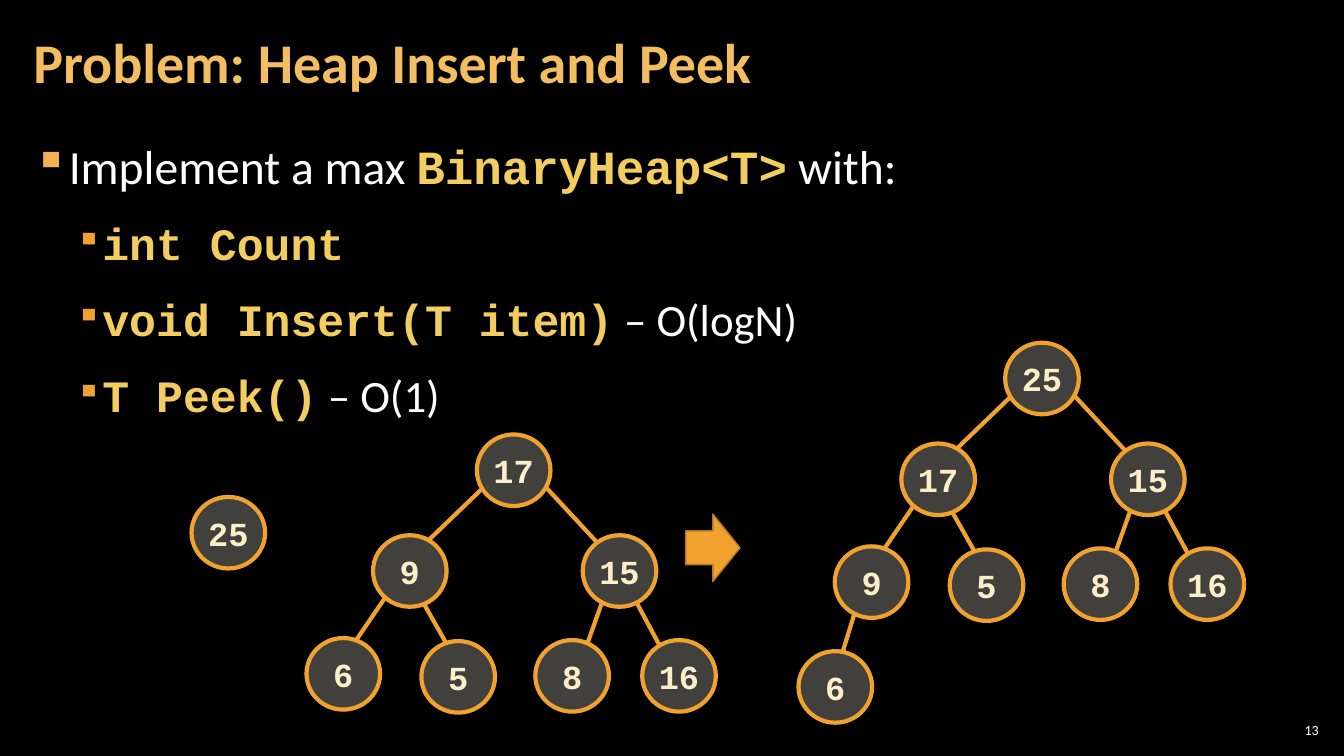
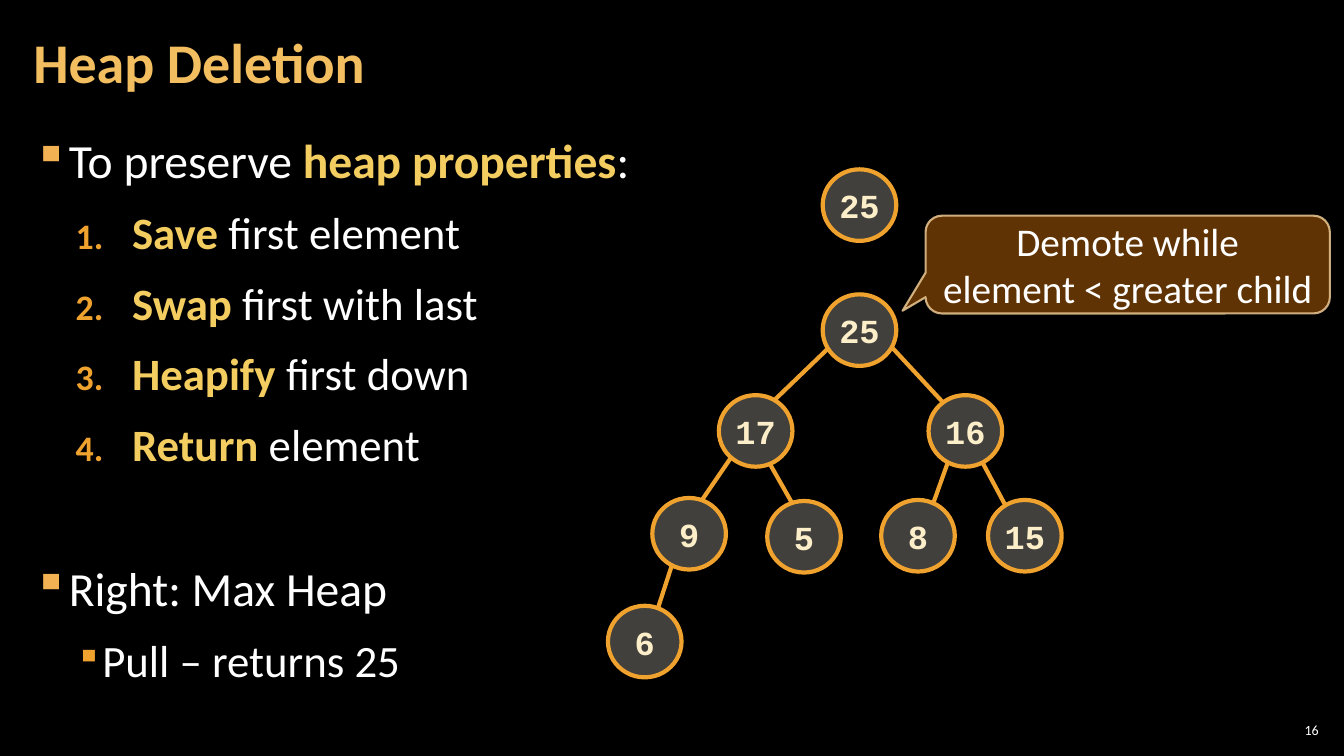
from dataclasses import dataclass
from typing import NamedTuple

from lxml import etree
from pptx import Presentation
from pptx.dml.color import RGBColor
from pptx.enum.shapes import MSO_CONNECTOR as Connector, MSO_SHAPE as Preset
from pptx.enum.text import MSO_ANCHOR as Anchor, PP_ALIGN as Align
from pptx.oxml.ns import qn
from pptx.util import Inches, Pt


@dataclass(frozen=True)
class Theme:
    """Colours, fonts and type sizes of the deck."""
    back: str = "000000"
    text: str = "FFFFFF"
    title: str = "F3BE60"
    strong: str = "F3CD60"
    bullet: str = "F2B254"
    accent: str = "F0A22E"
    arrow_edge: str = "B27822"
    node: str = "D9D5C7"
    node_text: str = "FBEEC9"
    callout: str = "663606"
    callout_edge: str = "F8D49E"
    sans: str = "Calibri"
    mono: str = "Courier New"
    title_size: int = 40
    body_size: int = 34
    sub_size: int = 32
    callout_size: int = 28
    node_size: int = 24
    number_size: int = 10


class Box(NamedTuple):
    """A place on the page, in inches."""
    left: float
    top: float
    width: float
    height: float

    def lengths(self):
        """Give the four values as lengths."""
        return [Inches(value) for value in self]


class Slot(NamedTuple):
    """A tree position and the line to it, as offsets from the root."""
    place: tuple
    start: tuple = ()
    end: tuple = ()


class Level(NamedTuple):
    """Indents, type size and bullet of one kind of body line."""
    depth: int
    margin: float
    hang: float
    size: int
    color: str
    scale: int
    mark: str


THEME = Theme()
TITLE_BOX = Box(0.21, 0.04, 10.47, 1.21)
BODY_BOX = Box(0.21, 1.26, 12.91, 6.09)
NUMBER_BOX = Box(12.65, 7.14, 0.47, 0.21)
NODE_WIDTH, NODE_HEIGHT = 0.73, 0.71
WIDE_INSETS = (0.12, 0.04)
NARROW_INSETS = (0.04, 0.04)

PLAIN = {"name": THEME.sans, "bold": False, "color": THEME.text}
STRONG = {"name": THEME.sans, "bold": True, "color": THEME.strong}
CODE = {**STRONG, "name": THEME.mono}
TITLE = {**STRONG, "color": THEME.title, "size": THEME.title_size}
NODE = {**CODE, "color": THEME.node_text, "size": THEME.node_size}
CALLOUT = {**PLAIN, "size": THEME.callout_size}
NUMBER = {**PLAIN, "size": THEME.number_size}

MAIN = Level(0, 0.33, 0.33, THEME.body_size, THEME.bullet, 100, "▪")
SUB = Level(1, 0.67, 0.25, THEME.sub_size, THEME.accent, 80, "▪")
STEP = Level(1, 0.98, 0.56, THEME.sub_size, THEME.accent, 80, "")

TREE = (
    Slot((0, 0)),
    Slot((-1.03, 1), (0.05, 0.54), (-0.49, 1.06)),
    Slot((1.05, 1), (0.69, 0.53), (1.2, 1.08)),
    Slot((-1.69, 2.02), (-0.91, 1.62), (-1.19, 2.03)),
    Slot((-0.55, 2.05), (-0.52, 1.69), (-0.31, 2.06)),
    Slot((0.58, 2.04), (1.24, 1.67), (1.09, 2.09)),
    Slot((1.64, 2.04), (1.58, 1.66), (1.81, 2.09)),
)
INSERT_LEAF = Slot((-2.05, 3.06), (-1.49, 2.67), (-1.61, 3.06))
DELETE_LEAF = Slot((-2.13, 3.09), (-1.5, 2.7), (-1.63, 3.1))


def assign(target, values):
    """Set each attribute of the target from a dict."""
    for name, value in values.items():
        setattr(target, name, value)


def add_span(para, text, style):
    """Add a formatted run to a paragraph."""
    span = para.add_run()
    span.text = text
    values = dict(style)
    span.font.color.rgb = RGBColor.from_string(values.pop("color"))
    values["size"] = Pt(values["size"])
    assign(span.font, values)


def set_frame(frame, anchor, insets, wrap=True):
    """Set anchor, insets and wrapping of a text frame."""
    side, edge = map(Inches, insets)
    assign(frame, {"word_wrap": wrap, "vertical_anchor": anchor,
                   "margin_left": side, "margin_right": side,
                   "margin_top": edge, "margin_bottom": edge})


def set_alpha(fill, percent):
    """Make the colour of a solid fill partly transparent."""
    color = fill._xPr.find(qn("a:solidFill"))[0]
    etree.SubElement(color, qn("a:alpha"), val=str(percent * 1000))


def add_preset(page, preset, box, fill, edge, width):
    """Add a shape with a plain fill and outline."""
    shape = page.shapes.add_shape(preset, *box.lengths())
    shape.shadow.inherit = False
    shape.fill.solid()
    shape.fill.fore_color.rgb = RGBColor.from_string(fill)
    shape.line.color.rgb = RGBColor.from_string(edge)
    shape.line.width = Pt(width)
    return shape


def add_label(shape, text, style, insets=(0.1, 0.05), wrap=True):
    """Write centred text in a shape."""
    set_frame(shape.text_frame, Anchor.MIDDLE, insets, wrap)
    for index, line in enumerate(text.split("\n")):
        para = shape.text_frame.paragraphs[0]
        if index:
            para.add_line_break()
        para.alignment = Align.CENTER
        add_span(para, line, style)


def add_edge(page, start, end):
    """Draw a tree line between two points."""
    line = page.shapes.add_connector(
        Connector.STRAIGHT, *(Inches(value) for value in (*start, *end)))
    line.line.color.rgb = RGBColor.from_string(THEME.accent)
    line.line.width = Pt(3)
    etree.SubElement(line._element.spPr, qn("a:effectLst"))


def add_node(page, place, value):
    """Draw a numbered tree node."""
    node = add_preset(page, Preset.OVAL, Box(*place, NODE_WIDTH, NODE_HEIGHT),
                      THEME.node, THEME.accent, 3)
    set_alpha(node.fill, 30)
    add_label(node, str(value), NODE, wrap=False)


def add_heap(page, root, values, leaf=INSERT_LEAF):
    """Draw a heap whose root node has the given left and top."""
    def shifted(offset):
        """Move an offset to its place on the page."""
        return root[0] + offset[0], root[1] + offset[1]

    slots = (*TREE, leaf)[:len(values)]
    for slot in slots[1:]:
        add_edge(page, shifted(slot.start), shifted(slot.end))
    for slot, value in zip(slots, values):
        add_node(page, shifted(slot.place), value)


def add_bullet(para, level):
    """Give a paragraph its indents and its bullet or number."""
    props = para._p.get_or_add_pPr()
    props.set("marL", str(Inches(level.margin)))
    props.set("indent", str(-Inches(level.hang)))
    color = etree.SubElement(props, qn("a:buClr"))
    etree.SubElement(color, qn("a:srgbClr"), val=level.color)
    etree.SubElement(props, qn("a:buSzPct"), val=str(level.scale * 1000))
    if level.mark:
        etree.SubElement(props, qn("a:buChar"), char=level.mark)
    else:
        etree.SubElement(props, qn("a:buAutoNum"), type="arabicPeriod")


def add_body(page, box, lines, spacing=1.0, group_gap=57):
    """Write the bulleted lines, with a wide gap before a later main line."""
    frame = page.shapes.add_textbox(*box.lengths()).text_frame
    set_frame(frame, Anchor.TOP, WIDE_INSETS)
    for index, (level, *spans) in enumerate(lines):
        para = frame.add_paragraph() if index else frame.paragraphs[0]
        add_bullet(para, level)
        before = group_gap if level is MAIN else 6
        assign(para, {"level": level.depth, "line_spacing": spacing,
                      "space_before": Pt(before if index else 0),
                      "space_after": Pt(6)})
        for text, style in spans:
            add_span(para, text, {**style, "size": level.size})


def add_callout(page, box, text):
    """Draw the speech callout that points down to the left."""
    callout = add_preset(page, Preset.ROUNDED_RECTANGULAR_CALLOUT, box,
                         THEME.callout, THEME.callout_edge, 1.5)
    for index, value in enumerate((-0.557, 0.472, 0.167)):
        callout.adjustments[index] = value
    set_alpha(callout.fill, 95)
    set_alpha(callout.line.fill, 80)
    add_label(callout, text, CALLOUT)


def add_page(deck, title, number):
    """Add a page with its title and page number."""
    page = deck.slides.add_slide(deck.slide_layouts[5])
    heading = page.shapes.title
    assign(heading, dict(zip(Box._fields, TITLE_BOX.lengths())))
    set_frame(heading.text_frame, Anchor.MIDDLE, WIDE_INSETS)
    para = heading.text_frame.paragraphs[0]
    assign(para, {"alignment": Align.LEFT, "line_spacing": 0.9})
    add_span(para, title, TITLE)
    frame = page.shapes.add_textbox(*NUMBER_BOX.lengths()).text_frame
    set_frame(frame, Anchor.MIDDLE, NARROW_INSETS)
    frame.paragraphs[0].alignment = Align.RIGHT
    add_span(frame.paragraphs[0], str(number), NUMBER)
    return page


def add_insert_page(deck):
    """Build the page on insert and peek."""
    page = add_page(deck, "Problem: Heap Insert and Peek", 13)
    add_body(page, BODY_BOX, (
        (MAIN, ("Implement a max ", PLAIN), ("BinaryHeap<T>", CODE),
         (" with:", PLAIN)),
        (SUB, ("int Count", CODE)),
        (SUB, ("void Insert(T item)", CODE), (" – O(logN)", PLAIN)),
        (SUB, ("T Peek()", CODE), (" – O(1)", PLAIN)),
    ), spacing=1.1)
    add_heap(page, (4.73, 4.31), (17, 9, 15, 6, 5, 8, 16))
    add_node(page, (1.9, 4.93), 25)
    add_heap(page, (9.97, 3.4), (25, 17, 15, 9, 5, 8, 16, 6))
    add_preset(page, Preset.RIGHT_ARROW, Box(6.8, 5.1, 0.54, 0.67),
               THEME.accent, THEME.arrow_edge, 1)


def add_deletion_page(deck):
    """Build the page on deletion."""
    page = add_page(deck, "Heap Deletion", 16)
    add_body(page, BODY_BOX, (
        (MAIN, ("To preserve ", PLAIN), ("heap properties", STRONG),
         (":", PLAIN)),
        (STEP, ("Save ", STRONG), ("first element", PLAIN)),
        (STEP, ("Swap", STRONG), (" first with last", PLAIN)),
        (STEP, ("Heapify", STRONG), (" first down", PLAIN)),
        (STEP, ("Return", STRONG), (" element", PLAIN)),
        (MAIN, ("Right: Max Heap", PLAIN)),
        (SUB, ("Pull – returns 25", PLAIN)),
    ))
    add_heap(page, (8.16, 2.92), (25, 17, 16, 9, 5, 8, 15, 6), DELETE_LEAF)
    add_callout(page, Box(9.18, 2.14, 4.01, 0.97),
                "Demote while\nelement < greater child")
    add_node(page, (8.16, 1.68), 25)


def main():
    """Build and save the deck."""
    deck = Presentation()
    assign(deck, {"slide_width": Inches(13.33), "slide_height": Inches(7.5)})
    back = deck.slide_master.background.fill
    back.solid()
    back.fore_color.rgb = RGBColor.from_string(THEME.back)
    add_insert_page(deck)
    add_deletion_page(deck)
    deck.save("out.pptx")


if __name__ == "__main__":
    main()
